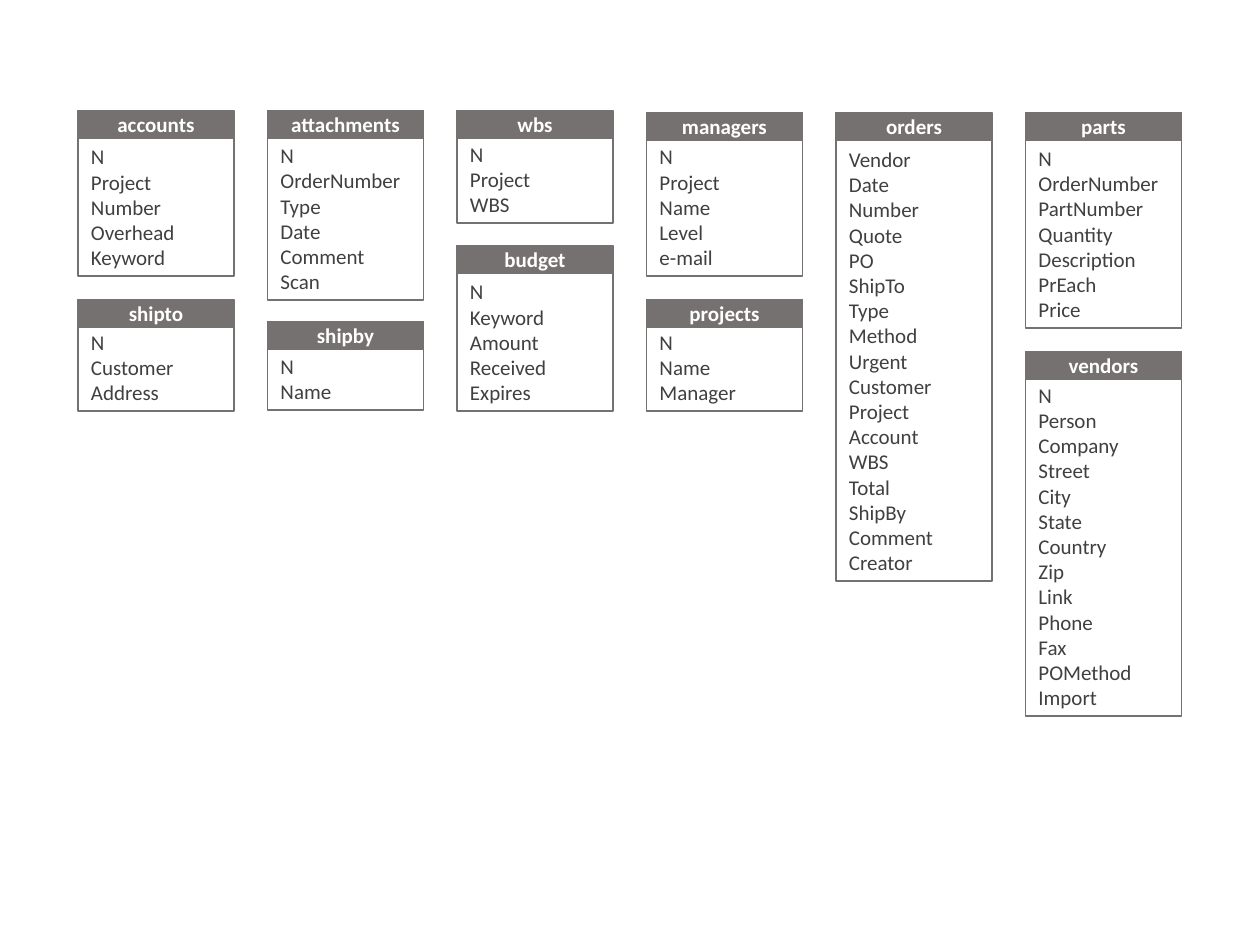
import pptx
import pptx.util
import pptx.dml.color
import pptx.enum.shapes
import pptx.enum.text
from dataclasses import dataclass

PX = 914400 // 126  # one px in EMU
SLIDE_W, SLIDE_H = 1260, 945
COLUMN_X, COLUMN_PITCH = 78, 189.5
TABLE_W, HEADER_H = 156, 27
INSET_X, INSET_Y = 13, 6


@dataclass(frozen=True)
class Theme:
    font: str = "Calibri"
    size: int = 12
    frame: str = "767171"
    field: str = "404040"
    title: str = "FFFFFF"
    line: int = 1


THEME = Theme()
ANCHOR = pptx.enum.text.MSO_ANCHOR
ALIGN = pptx.enum.text.PP_ALIGN

# Per column: (name, top, height, fields)
COLUMNS = [
    [("accounts", 111, 165, "N Project Number Overhead Keyword"),
     ("shipto", 300, 111, "N Customer Address")],
    [("attachments", 111, 189, "N OrderNumber Type Date Comment Scan"),
     ("shipby", 322, 88, "N Name")],
    [("wbs", 111, 112, "N Project WBS"),
     ("budget", 246, 165, "N Keyword Amount Received Expires")],
    [("managers", 113, 163, "N Project Name Level e-mail"),
     ("projects", 300, 111, "N Name Manager")],
    [("orders", 113, 468, "Vendor Date Number Quote PO ShipTo Type Method Urgent "
      "Customer Project Account WBS Total ShipBy Comment Creator")],
    [("parts", 113, 215, "N OrderNumber PartNumber Quantity Description PrEach Price"),
     ("vendors", 352, 364, "N Person Company Street City State Country Zip Link "
      "Phone Fax POMethod Import")],
]


def px(n):
    return pptx.util.Emu(round(n * PX))


def rgb(code):
    return pptx.dml.color.RGBColor.from_string(code)


def add_box(shapes, x, y, w, h, lines, color, anchor, align, fill=None, bold=False, inset_y=0):
    """Outlined rectangle with one paragraph per line."""
    s = shapes.add_shape(pptx.enum.shapes.MSO_SHAPE.RECTANGLE, px(x), px(y), px(w), px(h))
    s.shadow.inherit = False
    if fill:
        s.fill.solid()
        s.fill.fore_color.rgb = rgb(fill)
    else:
        s.fill.background()
    s.line.color.rgb = rgb(THEME.frame)
    s.line.width = pptx.util.Pt(THEME.line)

    tf = s.text_frame
    tf.word_wrap = True
    tf.vertical_anchor = anchor
    tf.margin_left = tf.margin_right = px(INSET_X)
    tf.margin_top = tf.margin_bottom = px(inset_y)
    for i, line in enumerate(lines):
        p = tf.add_paragraph() if i else tf.paragraphs[0]
        p.alignment = align
        r = p.add_run()
        r.text = line
        r.font.name = THEME.font
        r.font.size = pptx.util.Pt(THEME.size)
        r.font.bold = bold
        r.font.color.rgb = rgb(color)


def add_entity(slide, x, y, w, h, name, fields):
    """Database table: field list with a title bar on top, grouped."""
    shapes = slide.shapes.add_group_shape().shapes
    # Field list
    add_box(shapes, x, y, w, h, fields, THEME.field, ANCHOR.BOTTOM, ALIGN.LEFT, inset_y=INSET_Y)
    # Title bar
    add_box(shapes, x, y, w, HEADER_H, [name], THEME.title, ANCHOR.MIDDLE, ALIGN.CENTER,
            fill=THEME.frame, bold=True)


def add_schema(slide, x, columns):
    """Columns of database tables at an equal pitch."""
    for i, entities in enumerate(columns):
        for name, top, height, fields in entities:
            add_entity(slide, x + i * COLUMN_PITCH, top, TABLE_W, height, name, fields.split())


def main():
    prs = pptx.Presentation()
    prs.slide_width, prs.slide_height = pptx.util.Inches(10), pptx.util.Inches(7.5)
    slide = prs.slides.add_slide(prs.slide_layouts[6])
    add_schema(slide, COLUMN_X, COLUMNS)
    prs.save("out.pptx")


if __name__ == "__main__":
    main()
